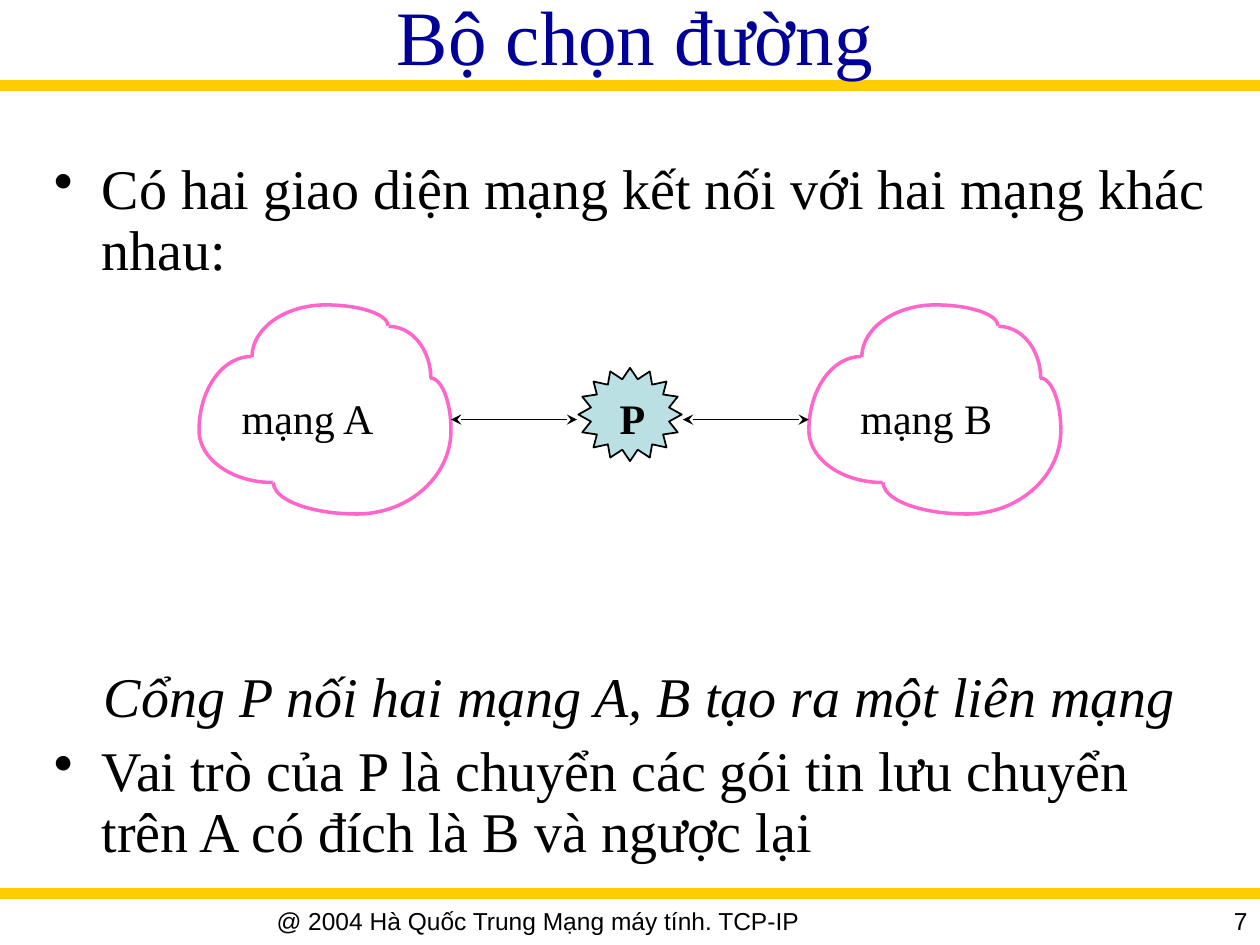
from dataclasses import dataclass

from lxml import etree
from pptx import Presentation
from pptx.dml.color import RGBColor
from pptx.enum.shapes import MSO_CONNECTOR, MSO_SHAPE
from pptx.enum.text import MSO_ANCHOR, MSO_AUTO_SIZE, PP_ALIGN
from pptx.oxml.ns import qn
from pptx.util import Inches, Pt

LEFT, CENTER, RIGHT = PP_ALIGN.LEFT, PP_ALIGN.CENTER, PP_ALIGN.RIGHT
MIDDLE = MSO_ANCHOR.MIDDLE
NO_FIT, GROW = MSO_AUTO_SIZE.NONE, MSO_AUTO_SIZE.SHAPE_TO_FIT_TEXT
STRAIGHT = MSO_CONNECTOR.STRAIGHT
ARC, STAR = MSO_SHAPE.ARC, MSO_SHAPE.STAR_16_POINT


@dataclass(frozen=True)
class Theme:
    title: RGBColor = RGBColor(0x00, 0x00, 0x99)
    ink: RGBColor = RGBColor(0x00, 0x00, 0x00)
    rule: RGBColor = RGBColor(0xFF, 0xCC, 0x00)
    cloud: RGBColor = RGBColor(0xFF, 0x66, 0xCC)
    gateway: RGBColor = RGBColor(0xBB, 0xE0, 0xE3)
    serif: str = "Times New Roman"
    sans: str = "Arial"
    title_size: int = 44
    body_size: int = 32
    label_size: int = 24
    footer_size: int = 14


T = Theme()

QUARTER_START = {"right_bottom": 0, "bottom_left": 90, "left_top": 180, "top_right": 270}
ANGLE_UNIT = 0.6
CLOUD_ARCS = [
    ("top_right", 0.5, 0, 1, 0.33),
    ("top_right", 1.17, 0.17, 0.67, 0.83),
    ("top_right", 1.67, 0.58, 0.33, 0.83),
    ("left_top", 0.42, 0, 1.17, 0.83),
    ("left_top", 0, 0.41, 0.83, 1.17),
    ("bottom_left", 0, 0.58, 1.17, 0.83),
    ("bottom_left", 0.59, 1.16, 1.33, 0.5),
    ("right_bottom", 0.5, 0.33, 1.5, 1.33),
]


def add_run(p, text, size, font=T.serif, color=T.ink, bold=False, italic=False):
    r = p.add_run()
    r.text = text
    r.font.name, r.font.size = font, Pt(size)
    r.font.color.rgb = color
    r.font.bold, r.font.italic = bold, italic


def set_title(s, text):
    title = s.shapes.title
    title.left, title.top = Inches(0.08), Inches(0)
    title.width, title.height = Inches(9.92), Inches(0.55)
    tf = title.text_frame
    tf.auto_size, tf.vertical_anchor = NO_FIT, MIDDLE
    p = tf.paragraphs[0]
    p.alignment = CENTER
    add_run(p, text, T.title_size, color=T.title)
    s.shapes._spTree.append(title._element)


def add_text(s, x, y, w, h, text, size, align=LEFT, wrap=True, **style):
    box = s.shapes.add_textbox(Inches(x), Inches(y), Inches(w), Inches(h))
    tf = box.text_frame
    tf.word_wrap = wrap
    tf.auto_size = NO_FIT if wrap else GROW
    p = tf.paragraphs[0]
    p.alignment = align
    add_run(p, text, size, **style)


def add_label(s, x, w, text, bold=False):
    add_text(s, x, 3.07, w, 0.5, text, T.label_size, wrap=False, bold=bold)


def add_body(s, items):
    box = s.shapes.add_textbox(Inches(0.33), Inches(1.23), Inches(9.5), Inches(5.83))
    tf = box.text_frame
    tf.word_wrap = True
    for i, (text, bullet, space) in enumerate(items):
        p = tf.paragraphs[0] if i == 0 else tf.add_paragraph()
        p.alignment = LEFT if bullet else CENTER
        p.line_spacing = 0.9
        p.space_before = Pt(space)
        pPr = p._p.get_or_add_pPr()
        pPr.set("marL", str(Inches(0.38)))
        pPr.set("indent", str(Inches(-0.38)))
        if bullet:
            etree.SubElement(pPr, qn("a:buChar")).set("char", "•")
        add_run(p, text, T.body_size, italic=not bullet)


def add_line(s, x1, x2, y, color, width, arrows=False):
    line = s.shapes.add_connector(STRAIGHT, Inches(x1), Inches(y), Inches(x2), Inches(y))
    line.line.color.rgb = color
    line.line.width = Pt(width)
    if arrows:
        ln = line.line._get_or_add_ln()
        for end in ("a:headEnd", "a:tailEnd"):
            etree.SubElement(ln, qn(end)).set("type", "stealth")
    etree.SubElement(line._element.spPr, qn("a:effectLst"))


def add_cloud(s, x, y):
    for quarter, dx, dy, w, h in CLOUD_ARCS:
        arc = s.shapes.add_shape(ARC, Inches(x + dx), Inches(y + dy), Inches(w), Inches(h))
        start = QUARTER_START[quarter]
        arc.adjustments[0] = start * ANGLE_UNIT
        arc.adjustments[1] = (start + 90) % 360 * ANGLE_UNIT
        arc.shadow.inherit = False
        arc.fill.background()
        arc.line.color.rgb = T.cloud
        arc.line.width = Pt(2)


def add_gateway(s):
    star = s.shapes.add_shape(STAR, Inches(4.59), Inches(2.92), Inches(0.82), Inches(0.74))
    star.adjustments[0] = 0.385
    star.shadow.inherit = False
    star.fill.solid()
    star.fill.fore_color.rgb = T.gateway
    star.line.color.rgb = T.ink
    star.line.width = Pt(1)


def main():
    prs = Presentation()
    prs.slide_width, prs.slide_height = Inches(10), Inches(7.5)
    s = prs.slides.add_slide(prs.slide_layouts[5])

    for y in (0.68, 7.09):
        add_line(s, 0, 10, y, T.rule, 6)
    set_title(s, "Bộ chọn đường")
    add_body(s, [
        ("Có hai giao diện mạng kết nối với hai mạng khác nhau:", True, 0),
        ("Cổng P nối hai mạng A, B tạo ra một liên mạng", False, 221),
        ("Vai trò của P là chuyển các gói tin lưu chuyển trên A có đích là B và ngược lại", True, 8),
    ])

    for x in (1.58, 6.42):
        add_cloud(s, x, 2.42)
    add_gateway(s)
    for x in (3.58, 5.42):
        add_line(s, x, x + 1, 3.33, T.ink, 1, arrows=True)
    add_label(s, 4.82, 0.41, "P", bold=True)
    add_label(s, 1.82, 1.27, "mạng A")
    add_label(s, 6.73, 1.25, "mạng B")

    add_text(s, 0, 7.14, 8.54, 0.36, "@ 2004 Hà Quốc Trung Mạng máy tính. TCP-IP",
             T.footer_size, CENTER, font=T.sans)
    add_text(s, 8.58, 7.14, 1.42, 0.31, "7", T.footer_size, RIGHT, font=T.sans)
    prs.save("out.pptx")


if __name__ == "__main__":
    main()
